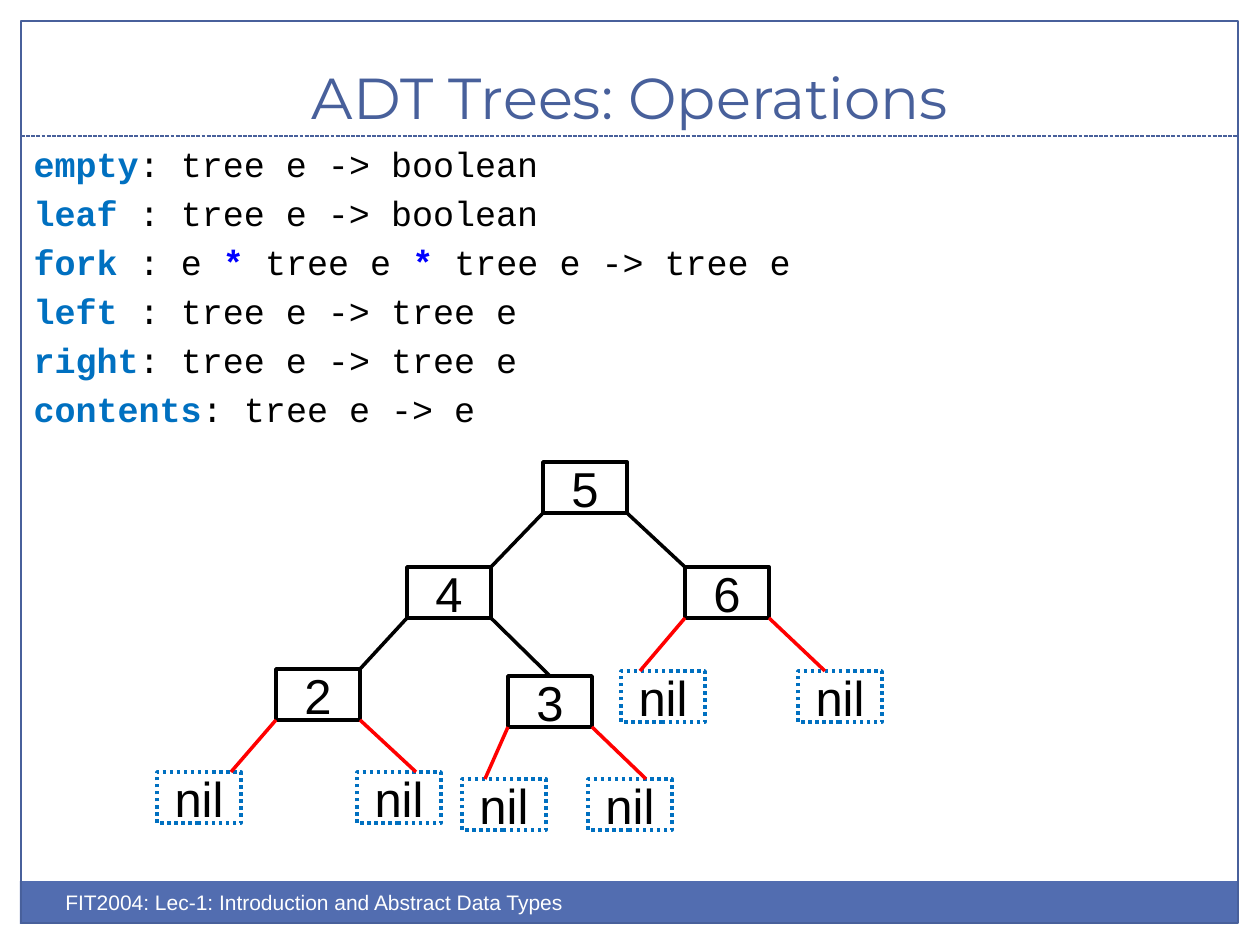
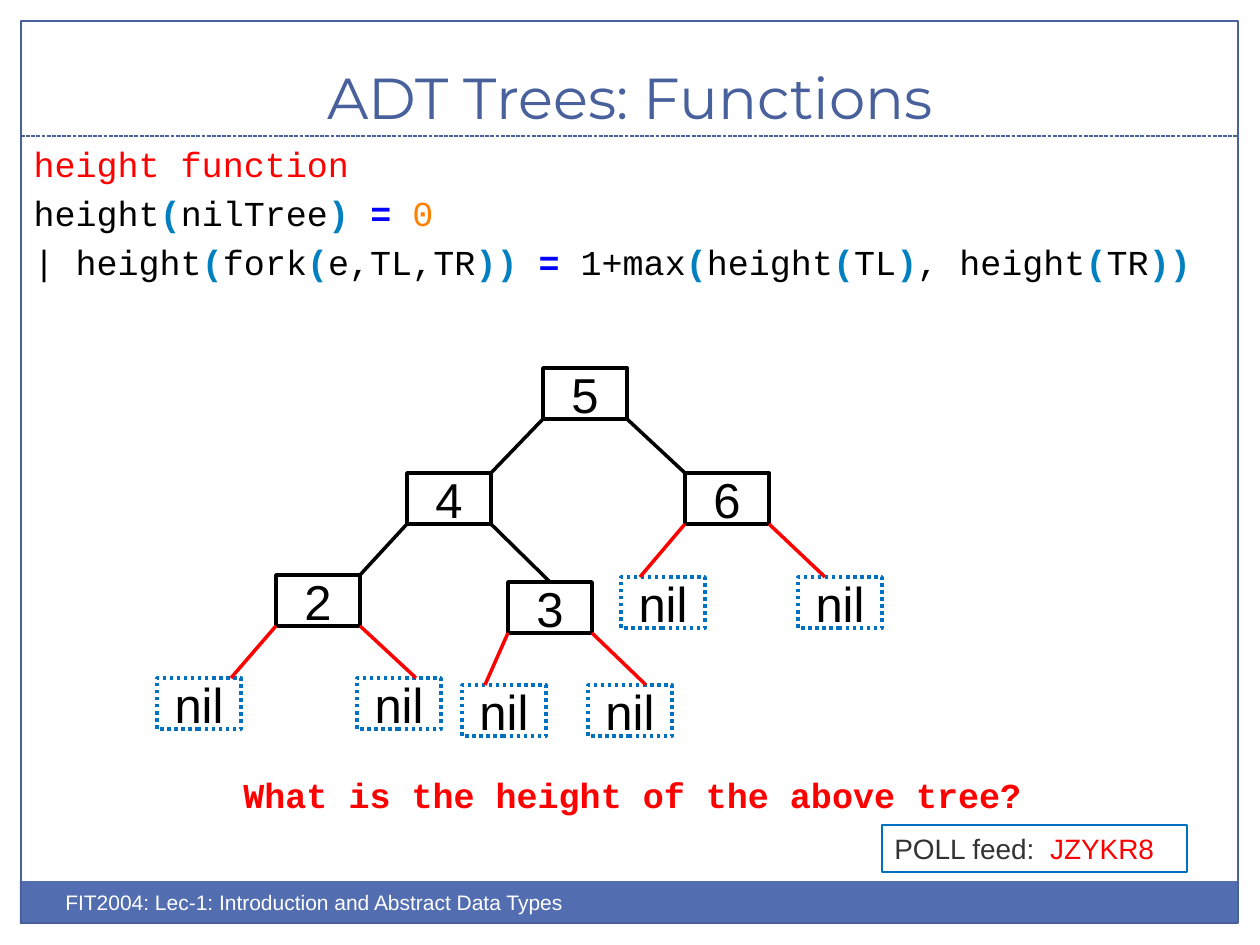
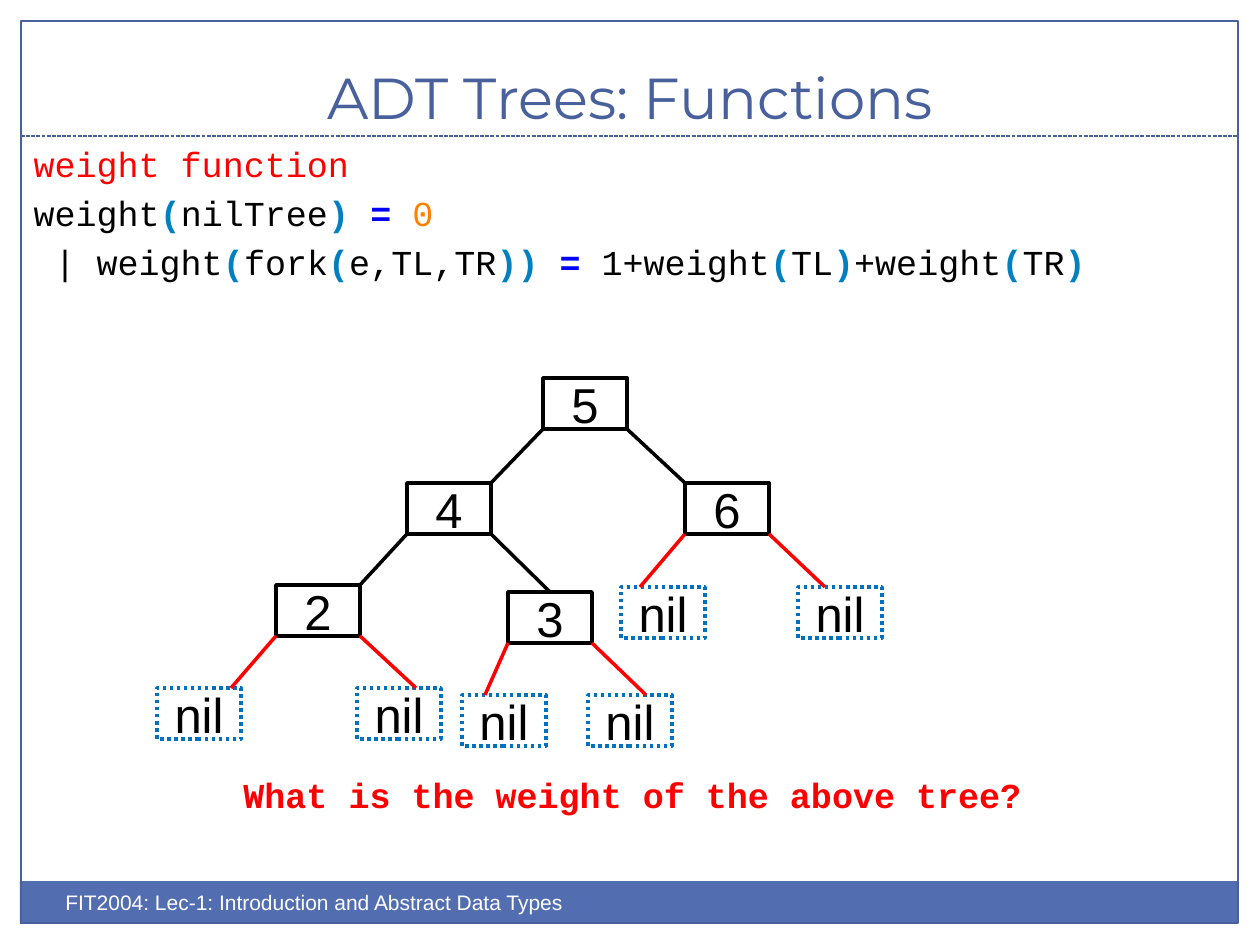
import itertools

import pptx
import pptx.dml.color
import pptx.enum.dml
import pptx.enum.shapes
import pptx.enum.text
import pptx.oxml.ns
import pptx.util
from lxml import etree

RGB = pptx.dml.color.RGBColor
DASH = pptx.enum.dml.MSO_LINE
ALIGN = pptx.enum.text.PP_ALIGN
ANCHOR = pptx.enum.text.MSO_ANCHOR

# Colours
BLACK = RGB(0x00, 0x00, 0x00)
WHITE = RGB(0xFF, 0xFF, 0xFF)
GREY = RGB(0x33, 0x33, 0x33)
NAVY = RGB(0x48, 0x60, 0x9B)
BAND = RGB(0x52, 0x6D, 0xB0)
BLUE = RGB(0x00, 0x70, 0xC0)
OPERATOR = RGB(0x00, 0x00, 0xFF)
BRACKET = RGB(0x00, 0x80, 0xC0)
NUMBER = RGB(0xFF, 0x80, 0x00)
RED = RGB(0xFF, 0x00, 0x00)

# Fonts
SANS, MONO, TITLE = "Arial", "Courier New", "Montserrat"

FOOTER = "FIT2004: Lec-1: Introduction and Abstract Data Types"
PX_PER_INCH = 126

# Tree nodes: label, x, y below the root, parent index, where the edge lands on top
NODE_W, NODE_H = 84, 51
NODES = [
    ("5", 543, 0, None, 0),
    ("4", 407, 105, 0, NODE_W),
    ("6", 685, 105, 0, 0),
    ("2", 276, 207, 1, NODE_W),
    ("3", 508, 214, 1, NODE_W // 2),
    ("nil", 621, 209, 2, 19),
    ("nil", 798, 209, 2, 27),
    ("nil", 157, 310, 3, 74),
    ("nil", 357, 310, 3, 59),
    ("nil", 462, 317, 4, 23),
    ("nil", 588, 317, 4, 58),
]


def px(n):
    return pptx.util.Emu(round(n * 914400 / PX_PER_INCH))


def char_style(char):
    """Colour and weight of one character of code."""
    if char in "()":
        return BRACKET, True
    if char in "=*":
        return OPERATOR, True
    return (NUMBER if char == "0" else BLACK), False


def code(line):
    """Split a line of code into coloured runs."""
    return [("".join(chars), *style)
            for style, chars in itertools.groupby(line, char_style)]


def operation(name, signature):
    return [(name, BLUE, True)] + code(signature)


class Deck:
    """Holds the style and the slide being drawn."""

    def __init__(self):
        self.prs = pptx.Presentation()
        self.prs.slide_width = pptx.util.Inches(10)
        self.prs.slide_height = pptx.util.Inches(7.5)
        self.slide = None

    def new_slide(self, title, lines):
        self.slide = self.prs.slides.add_slide(self.prs.slide_layouts[1])
        # Band, frame, rule and footer
        self.rect(20, 881, 1217, 43, fill=BAND)
        self.rect(21, 21, 1217, 902, line=NAVY, width=0.75)
        self.line((21, 136), (1238, 136), NAVY, 0.75, DASH.SQUARE_DOT)
        self.textbox(53, 883, 630, 50, [(FOOTER, WHITE, False)], SANS, 12)
        # Title
        sp = self.place(self.slide.shapes.title, 42, 32, 1176, 105)
        self.put_text(sp, [[(title, NAVY, False)]], TITLE, 33, ALIGN.CENTER, ANCHOR.BOTTOM)
        # Body
        sp = self.place(self.slide.placeholders[1], 21, 136, 1240, 179)
        self.put_text(sp, lines, MONO, 20)
        for p in sp.text_frame.paragraphs:
            pPr = p._p.get_or_add_pPr()
            pPr.set("marL", "0")
            pPr.set("indent", "0")
            etree.SubElement(pPr, pptx.oxml.ns.qn("a:buNone"))

    def place(self, sp, x, y, w, h):
        sp.left, sp.top, sp.width, sp.height = map(px, (x, y, w, h))
        return sp

    def put_text(self, sp, lines, font, size, align=ALIGN.LEFT, anchor=ANCHOR.TOP):
        tf = sp.text_frame
        tf.word_wrap = True
        tf.auto_size = pptx.enum.text.MSO_AUTO_SIZE.NONE
        tf.vertical_anchor = anchor
        for i, runs in enumerate(lines):
            p = tf.add_paragraph() if i else tf.paragraphs[0]
            p.alignment = align
            for text, color, bold in runs:
                r = p.add_run()
                r.text = text
                r.font.name = font
                r.font.size = pptx.util.Pt(size)
                r.font.bold = bold
                r.font.color.rgb = color

    def textbox(self, x, y, w, h, runs, font, size):
        sp = self.slide.shapes.add_textbox(px(x), px(y), px(w), px(h))
        self.put_text(sp, [runs], font, size)
        return sp

    def rect(self, x, y, w, h, fill=None, line=None, width=2, dash=None):
        sp = self.slide.shapes.add_shape(
            pptx.enum.shapes.MSO_SHAPE.RECTANGLE, px(x), px(y), px(w), px(h))
        sp.shadow.inherit = False
        if fill is None:
            sp.fill.background()
        else:
            sp.fill.solid()
            sp.fill.fore_color.rgb = fill
        if line is None:
            sp.line.fill.background()
        else:
            self.stroke(sp, line, width, dash)
        return sp

    def line(self, start, end, color, width=2, dash=None):
        sp = self.slide.shapes.add_connector(
            pptx.enum.shapes.MSO_CONNECTOR.STRAIGHT, *map(px, start + end))
        self.stroke(sp, color, width, dash)
        etree.SubElement(sp._element.spPr, pptx.oxml.ns.qn("a:effectLst"))
        return sp

    def stroke(self, sp, color, width, dash):
        sp.line.color.rgb = color
        sp.line.width = pptx.util.Pt(width)
        if dash is not None:
            sp.line.dash_style = dash

    def tree(self, top):
        for label, x, y, parent, landing in NODES:
            nil = label == "nil"
            sp = self.rect(x, top + y, NODE_W, NODE_H, line=BLUE if nil else BLACK,
                           dash=DASH.ROUND_DOT if nil else None)
            self.put_text(sp, [[(label, BLACK, False)]], SANS, 28,
                          ALIGN.CENTER, ANCHOR.MIDDLE)
            if parent is None:
                continue
            # Edge from the parent's nearer bottom corner
            _, parent_x, parent_y, *_ = NODES[parent]
            corner = parent_x if x < parent_x else parent_x + NODE_W
            edge = self.line((corner, top + parent_y + NODE_H), (x + landing, top + y),
                             RED if nil else BLACK)
            if landing == NODE_W // 2:
                edge.end_connect(sp, 0)

    def question(self, text):
        sp = self.textbox(231, 767, 810, 55, [(text, RED, True)], MONO, 20)
        sp.text_frame.word_wrap = False
        sp.text_frame.paragraphs[0].space_before = pptx.util.Pt(5)

    def feed(self, label, key):
        sp = self.rect(882, 825, 305, 47, line=BLUE, width=0.75)
        self.put_text(sp, [[(label, GREY, False), (key, RED, False)]], SANS, 16)


def main():
    deck = Deck()

    # Operations
    deck.new_slide("ADT Trees: Operations", [
        operation("empty", ": tree e -> boolean"),
        operation("leaf", " : tree e -> boolean"),
        operation("fork", " : e * tree e * tree e -> tree e"),
        operation("left", " : tree e -> tree e"),
        operation("right", ": tree e -> tree e"),
        operation("contents", ": tree e -> e"),
    ])
    deck.tree(462)

    # Functions: name, recursive case, top of the tree
    functions = [
        ("height", "| height(fork(e,TL,TR)) = 1+max(height(TL), height(TR))", 368),
        ("weight", " | weight(fork(e,TL,TR)) = 1+weight(TL)+weight(TR)", 378),
    ]
    for name, recursive_case, tree_top in functions:
        deck.new_slide("ADT Trees: Functions", [
            [(f"{name} function", RED, False)],
            code(f"{name}(nilTree) = 0"),
            code(recursive_case),
        ])
        deck.question(f"What is the {name} of the above tree?")
        deck.tree(tree_top)
        if name == "height":
            deck.feed("POLL feed:  ", "JZYKR8")

    deck.prs.save("out.pptx")


if __name__ == "__main__":
    main()
